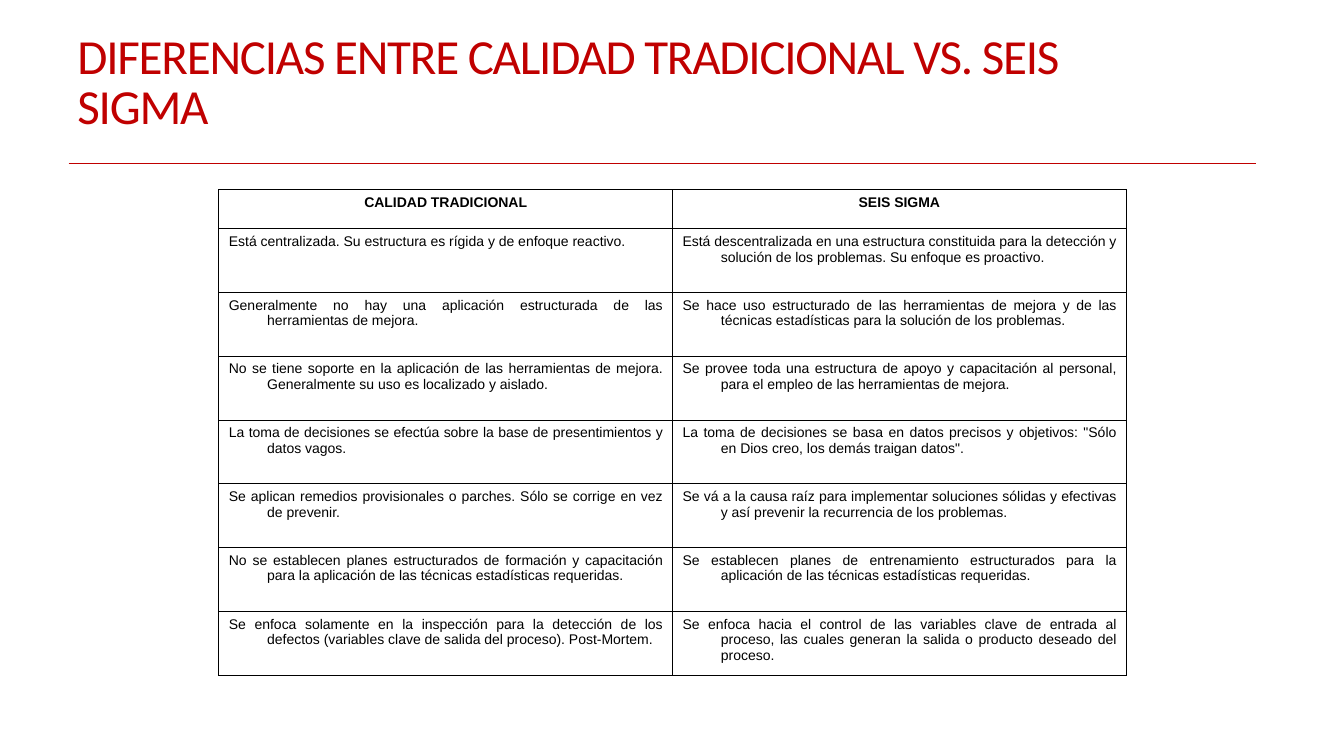
from lxml import etree
from pptx import Presentation
from pptx.dml.color import RGBColor
from pptx.enum.shapes import MSO_CONNECTOR
from pptx.enum.text import MSO_ANCHOR, PP_ALIGN
from pptx.oxml.ns import qn
from pptx.util import Inches, Pt

STRAIGHT = MSO_CONNECTOR.STRAIGHT
MIDDLE = MSO_ANCHOR.MIDDLE
CENTER = PP_ALIGN.CENTER
JUSTIFY = PP_ALIGN.JUSTIFY

COLORS = {"heading": "C00000", "ink": "000000", "paper": "FFFFFF"}
BORDER_WIDTH = Pt(0.75)
HANGING_INDENT = Inches(0.38)

HEADING = "DIFERENCIAS ENTRE CALIDAD TRADICIONAL VS. SEIS SIGMA"
COMPARISON = [
    ("CALIDAD TRADICIONAL", "SEIS SIGMA"),
    ("Está centralizada. Su estructura es rígida y de enfoque reactivo.",
     "Está descentralizada en una estructura constituida para la detección y "
     "solución de los problemas. Su enfoque es proactivo."),
    ("Generalmente no hay una aplicación estructurada de las herramientas de mejora.",
     "Se hace uso estructurado de las herramientas de mejora y de las técnicas "
     "estadísticas para la solución de los problemas."),
    ("No se tiene soporte en la aplicación de las herramientas de mejora. "
     "Generalmente su uso es localizado y aislado.",
     "Se provee toda una estructura de apoyo y capacitación al personal, "
     "para el empleo de las herramientas de mejora."),
    ("La toma de decisiones se efectúa sobre la base de presentimientos y datos vagos.",
     "La toma de decisiones se basa en datos precisos y objetivos: "
     '"Sólo en Dios creo, los demás traigan datos".'),
    ("Se aplican remedios provisionales o parches. Sólo se corrige en vez de prevenir.",
     "Se vá a la causa raíz para implementar soluciones sólidas y efectivas "
     "y así prevenir la recurrencia de los problemas."),
    ("No se establecen planes estructurados de formación y capacitación "
     "para la aplicación de las técnicas estadísticas requeridas.",
     "Se establecen planes de entrenamiento estructurados para la aplicación "
     "de las técnicas estadísticas requeridas."),
    ("Se enfoca solamente en la inspección para la detección de los defectos "
     "(variables clave de salida del proceso). Post-Mortem.",
     "Se enfoca hacia el control de las variables clave de entrada al proceso, "
     "las cuales generan la salida o producto deseado del proceso."),
]


def color(name):
    return RGBColor.from_string(COLORS[name])


def add_run(paragraph, text, font, size, color_name, bold=False):
    run = paragraph.add_run()
    run.text = text
    run.font.name = font
    run.font.size = Pt(size)
    run.font.bold = bold
    run.font.color.rgb = color(color_name)
    return run


def add_heading(slide, left, top, width, height):
    heading = slide.shapes.add_textbox(left, top, width, height)
    frame = heading.text_frame
    frame.word_wrap = True
    frame.vertical_anchor = MIDDLE
    paragraph = frame.paragraphs[0]
    paragraph.line_spacing = 0.85
    run = add_run(paragraph, HEADING, "Calibri", 35, "heading")
    run.font._element.set("spc", "-90")

    rule_left = left + Inches(0.01)
    rule_top = top + Inches(1.49)
    rule = slide.shapes.add_connector(
        STRAIGHT, rule_left, rule_top, rule_left + Inches(11.78), rule_top)
    rule.line.color.rgb = color("heading")
    rule.line.width = BORDER_WIDTH
    etree.SubElement(rule._element.spPr, qn("a:effectLst"))


def add_borders(cell):
    properties = cell._tc.get_or_add_tcPr()
    for side in ("a:lnL", "a:lnR", "a:lnT", "a:lnB"):
        border = etree.SubElement(properties, qn(side), w=str(BORDER_WIDTH))
        fill = etree.SubElement(border, qn("a:solidFill"))
        etree.SubElement(fill, qn("a:srgbClr"), val=COLORS["ink"])


def fill_cell(cell, text, is_header):
    add_borders(cell)
    cell.fill.solid()
    cell.fill.fore_color.rgb = color("paper")
    paragraph = cell.text_frame.paragraphs[0]
    paragraph.alignment = CENTER if is_header else JUSTIFY
    indents = paragraph._p.get_or_add_pPr()
    indents.set("marL", str(HANGING_INDENT))
    indents.set("indent", str(-HANGING_INDENT))
    add_run(paragraph, text, "Arial", 10, "ink", is_header)


def add_comparison(slide, left, top, width, height):
    row_count, column_count = len(COMPARISON), len(COMPARISON[0])
    table = slide.shapes.add_table(
        row_count, column_count, left, top, width, height).table
    table.first_row = False
    table.horz_banding = False
    header_height = Inches(0.39)
    body_height = (height - header_height) // (row_count - 1)
    for column in table.columns:
        column.width = width // column_count
    for row_index, texts in enumerate(COMPARISON):
        is_header = row_index == 0
        table.rows[row_index].height = header_height if is_header else body_height
        for column_index, text in enumerate(texts):
            fill_cell(table.cell(row_index, column_index), text, is_header)


def main():
    presentation = Presentation()
    presentation.slide_width = Inches(13.33)
    presentation.slide_height = Inches(7.5)
    slide = presentation.slides.add_slide(presentation.slide_layouts[6])
    slide.background.fill.solid()
    slide.background.fill.fore_color.rgb = color("paper")
    add_heading(slide, Inches(0.67), Inches(0.13), Inches(11), Inches(1.42))
    add_comparison(slide, Inches(2.17), Inches(1.88), Inches(9), Inches(4.82))
    presentation.save("out.pptx")


if __name__ == "__main__":
    main()
